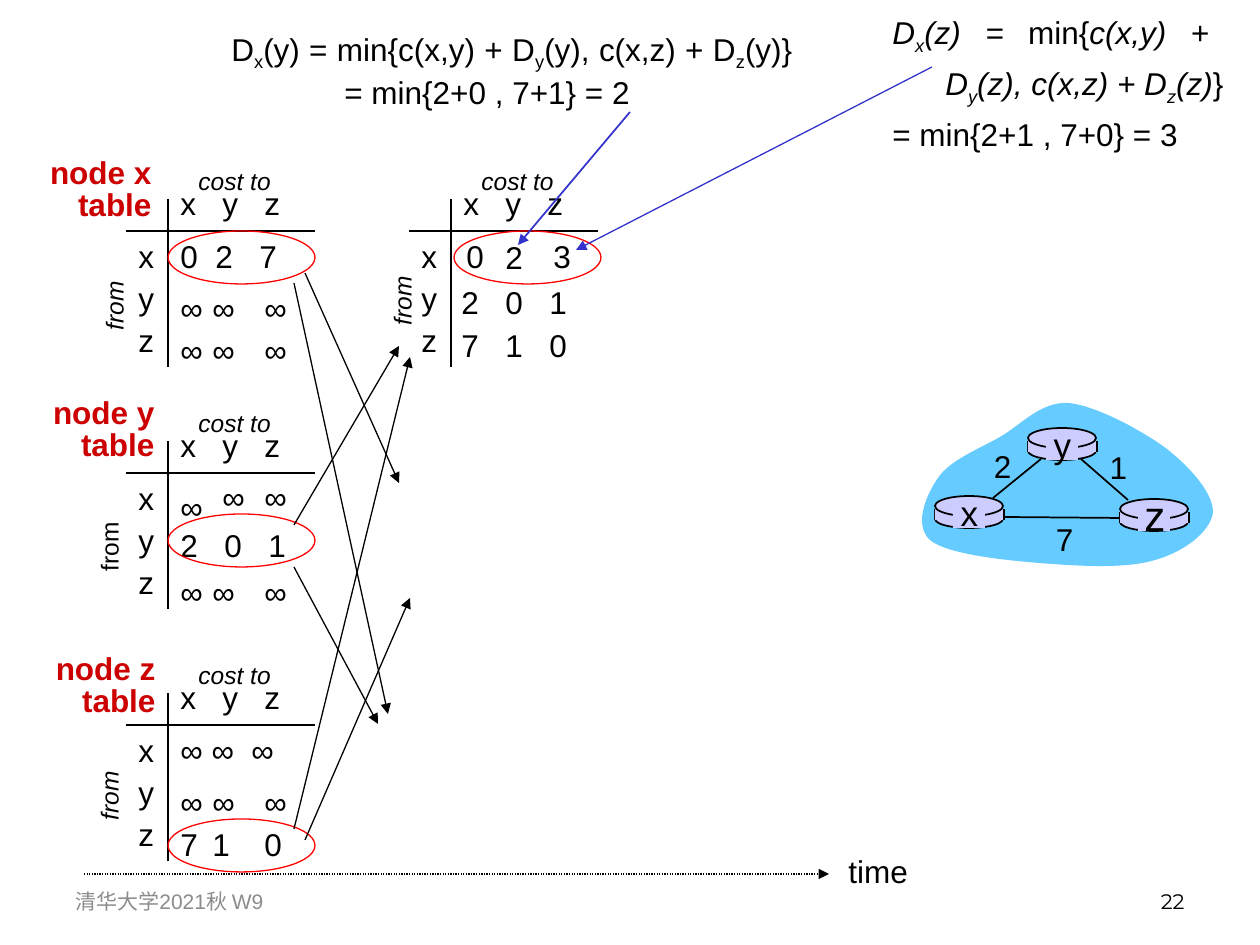
from lxml import etree
from pptx import Presentation
from pptx import util as u
from pptx.dml.color import RGBColor
from pptx.enum import dml, shapes, text
from pptx.oxml.ns import qn

PX = u.Inches(1) / 126
ALIGN = {"l": text.PP_ALIGN.LEFT, "r": text.PP_ALIGN.RIGHT,
         "c": text.PP_ALIGN.CENTER, "j": text.PP_ALIGN.JUSTIFY}
BLACK, RED, BLUE, LILAC, SKY = "000000", "FF0000", "3333CC", "CCCCFF", "66CCFF"
NODES = "xyz"


def px(*vals):
    return [u.Emu(round(v * PX)) for v in vals]


def rgb(code):
    return RGBColor.from_string(code)


def write(on, box, paras, size=18, color=BLACK, align="l", font="Arial", wrap=False,
          mid=False, space=None, tabs=(), hang=0, turn=0):
    """Each paragraph is a list of (words, style); style holds b, i or _ (subscript)."""
    item = on.add_textbox(*px(*box))
    item.rotation = turn
    frame = item.text_frame
    frame.word_wrap = wrap
    if not wrap:
        frame.auto_size = text.MSO_AUTO_SIZE.SHAPE_TO_FIT_TEXT
    if mid:
        frame.vertical_anchor = text.MSO_ANCHOR.MIDDLE
    for n, runs in enumerate(paras):
        para = frame.add_paragraph() if n else frame.paragraphs[0]
        para.alignment = ALIGN[align]
        if space:
            para.line_spacing = space
        prop = para._p.get_or_add_pPr()
        if hang:
            prop.set("marL", str(px(hang)[0]))
            prop.set("indent", str(-px(hang)[0]))
        if tabs:
            stops = etree.SubElement(prop, qn("a:tabLst"))
            for stop in tabs:
                etree.SubElement(stops, qn("a:tab"), pos=str(px(stop)[0]), algn="l")
        for words, style in runs:
            if words == "\n":
                para.add_line_break()
                continue
            run = para.add_run()
            run.text = words
            face = run.font
            face.name, face.size = font, u.Pt(size)
            face.color.rgb = rgb(color)
            face.bold, face.italic = "b" in style, "i" in style
            if "_" in style:
                face._element.set("baseline", "-25000")
    return item


def label(on, box, words, style="", **look):
    return write(on, box, [[(part, style)] for part in words.split("\n")], **look)


def line(on, ends, color=BLACK, width=0.75, head=False, dots=False):
    item = on.add_connector(shapes.MSO_CONNECTOR.STRAIGHT, *px(*ends))
    item.line.color.rgb = rgb(color)
    item.line.width = u.Pt(width)
    if dots:
        item.line.dash_style = dml.MSO_LINE.ROUND_DOT
    prop = item._element.spPr
    if head:
        etree.SubElement(prop.find(qn("a:ln")), qn("a:tailEnd"), type="triangle")
    etree.SubElement(prop, qn("a:effectLst"))


def paint(item, fill=None, edge=None, width=1):
    item.shadow.inherit = False
    if fill:
        item.fill.solid()
        item.fill.fore_color.rgb = rgb(fill)
    else:
        item.fill.background()
    if edge:
        item.line.color.rgb = rgb(edge)
        item.line.width = u.Pt(width)
    else:
        item.line.fill.background()


def shape(on, kind, box, **look):
    paint(on.add_shape(kind, *px(*box)), **look)


def oval(on, box, **look):
    shape(on, shapes.MSO_SHAPE.OVAL, box, **look)


def rect(on, box, **look):
    shape(on, shapes.MSO_SHAPE.RECTANGLE, box, **look)


def table(on, x, y, cells, ring, side, style="i", node=None):
    """Distance table whose axes fill a box of 189 by 168 px at x, y."""
    line(on, (x + 42, y, x + 42, y + 168))
    line(on, (x, y + 32, x + 189, y + 32))
    # Headings
    label(on, (x + 42, y - 21, 135, 50), "\t".join(NODES), wrap=True, tabs=(42, 84))
    for n, name in enumerate(NODES):
        label(on, (x, y + 32 + 42 * n, 42, 50), name)
    label(on, (x + 60, y - 39, 110, 42), "cost to", "i", size=14, wrap=True)
    label(on, (x + side[0], y + side[1], 74, 42), "from", style, size=14, turn=270)
    if node:
        name, left, top = node
        label(on, (x + left, y + top, 127, 77), f"node {name}\ntable", "b",
              color="CC0000", align="r", space=0.85)
    # Distances
    for left, top, words, *tabs in cells:
        wide = 140 if tabs else 48 if words == "∞" else 43
        label(on, (x + left, y + top, wide, 50), words, wrap=bool(tabs), tabs=tabs)
    oval(on, (x + ring[0], y + ring[1], 147, 53), edge=RED, width=0.75)


def spread(top, marks):
    return [(left, top, mark) for left, mark in zip((42, 74, 126), marks)]


def router(on, x, y, name, size):
    """Cylinder in a box of 69 by 34 px at x, y."""
    oval(on, (x, y + 14, 68, 18), fill=LILAC, edge=BLACK)
    for side in (x, x + 69):
        line(on, (side, y + 13, side, y + 24), width=1)
    rect(on, (x, y + 13, 68, 11), fill=LILAC)
    oval(on, (x, y, 68, 20), fill=LILAC, edge=BLACK)
    rect(on, (x + 18, y + 3, 32, 29), fill=LILAC)
    high = 63 if size > 20 else 54
    label(on, (x + 12, y + 16 - high / 2, 45, high), name, size=size, align="c")


def curve(item):
    """Turn each three straight segments into one cubic curve."""
    path = item._element.find(".//" + qn("a:path"))
    legs = path.findall(qn("a:lnTo"))
    for n in range(0, len(legs), 3):
        bend = etree.Element(qn("a:cubicBezTo"))
        legs[n].addprevious(bend)
        for leg in legs[n:n + 3]:
            bend.append(leg[0])
            path.remove(leg)


def network(on, x, y):
    """Three routers on a cloud of 301 by 168 px at x, y."""
    group = on.add_group_shape().shapes
    # Cloud
    knots = [(25, 77), (37, 59), (66, 48), (87, 36), (108, 24), (128, 0), (156, 2),
             (184, 5), (230, 30), (254, 48), (278, 67), (301, 93), (300, 112),
             (297, 131), (271, 151), (242, 159), (213, 168), (164, 165), (127, 162),
             (89, 159), (34, 153), (17, 139), (0, 123), (14, 93), (25, 77)]
    knots = [(x + i, y + j) for i, j in knots]
    form = group.build_freeform(*knots[0], scale=PX)
    form.add_line_segments(knots[1:], close=False)
    cloud = form.convert_to_shape()
    curve(cloud)
    paint(cloud, fill=SKY)
    # Links and their costs
    for ends in ((80, 97, 128, 58), (168, 58, 215, 99), (210, 117, 92, 116)):
        line(group, [v + (x, y)[n % 2] for n, v in enumerate(ends)], width=1)
    for left, top, cost in ((184, 41, "1"), (68, 40, "2"), (130, 113, "7")):
        label(group, (x + left, y + top, 43, 50), cost, align="c")
    # Nodes
    for left, top, name, size in ((22, 95, "x", 20), (207, 98, "z", 24),
                                  (115, 27, "y", 20)):
        router(group, x + left, y + top, name, size)


def sums(on):
    """Worked equations and their pointers."""
    write(on, (219, 26, 595, 88), [[
        ("D", ""), ("x", "_"), ("(y) = min{c(x,y) + D", ""), ("y", "_"),
        ("(y), c(x,z) + D", ""), ("z", "_"), ("(y)} ", ""), ("\n", ""),
        ("= min{2+0 , 7+1} = 2", "")]], align="j", wrap=True, mid=True, hang=113)
    write(on, (880, 4, 366, 149), [
        [("D", "i"), ("x", "i_"), ("(z) = ", "i"), ("min{", ""), ("c(x,y) + ", "i"),
         ("\n", ""), ("D", "i"), ("y", "i_"), ("(z), c(x,z) + D", "i"), ("z", "i_"),
         ("(z)", "i"), ("}", "")],
        [("= min{2+1 , 7+0} = 3", "")]],
        align="j", wrap=True, mid=True, space=1.2, hang=53)
    line(on, (630, 112, 518, 245), BLUE, 1, head=True)
    line(on, (932, 67, 576, 250), BLUE, head=True)


def flow(on):
    """Exchanges between tables, and the time axis."""
    for ends in ((305, 273, 399, 483), (294, 283, 388, 714), (294, 525, 399, 346),
                 (294, 567, 378, 724), (294, 829, 410, 357), (305, 840, 410, 598)):
        line(on, ends, head=True)
    line(on, (84, 874, 829, 874), head=True, dots=True)
    label(on, (836, 846, 100, 50), "time", wrap=True)


def foot(on):
    label(on, (63, 876, 294, 50), "清华大学2021秋 W9", size=12, color="8C8C8C",
          wrap=True, mid=True)
    label(on, (903, 876, 294, 50), "22", size=12, font="Montserrat", align="r",
          wrap=True, mid=True)


def main():
    deck = Presentation()
    deck.slide_width, deck.slide_height = px(1260, 945)
    on = deck.slides.add_slide(deck.slide_layouts[6]).shapes
    # Starting tables, top to bottom
    table(on, 126, 199, [(42, 32, "0\t2\t7", 35, 79), *spread(84, "∞∞∞"),
                         *spread(126, "∞∞∞")], (42, 32), (-49, 86),
          node=("x", -89, -46))
    table(on, 126, 441, [(84, 31, "∞"), (126, 31, "∞"),
                         (42, 41, "∞\n2\t0\t1", 44, 88), *spread(126, "∞∞∞")],
          (42, 73), (-54, 85), style="", node=("y", -86, -48))
    table(on, 126, 693, [(42, 32, "∞ ∞\t∞", 71), *spread(84, "∞∞∞"),
                         *spread(126, "710")], (42, 126), (-54, 82),
          node=("z", -85, -44))
    # Updated table
    table(on, 409, 199, [(45, 32, "0"), (84, 33, "2"), (132, 32, "3"),
                         (40, 78, "2\t0\t1", 44, 88), (40, 121, "7\t1\t0", 44, 88)],
          (45, 32), (-44, 81))
    flow(on)
    network(on, 913, 401)
    sums(on)
    foot(on)
    deck.save("out.pptx")


if __name__ == "__main__":
    main()
